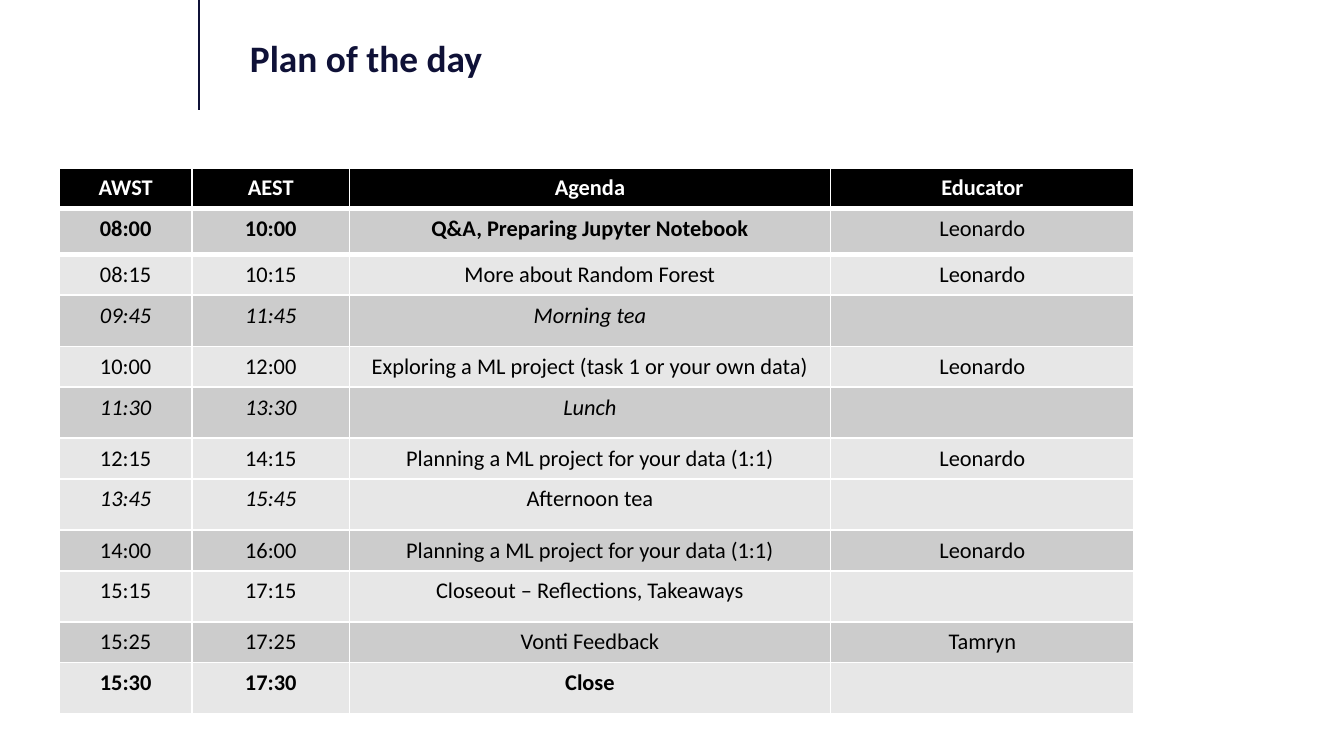
from pptx import Presentation
from pptx.dml.color import RGBColor
from pptx.enum.shapes import MSO_CONNECTOR
from pptx.enum.text import MSO_ANCHOR, PP_ALIGN
from pptx.oxml.ns import qn
from pptx.util import Inches, Pt
from lxml import etree

STRAIGHT = MSO_CONNECTOR.STRAIGHT
CENTER, LEFT = PP_ALIGN.CENTER, PP_ALIGN.LEFT
TOP = MSO_ANCHOR.TOP

FONT = "Calibri"
COLORS = {
    "navy": "0F1137",
    "header": "000000",
    "dark": "CCCCCC",
    "light": "E7E7E7",
    "white": "FFFFFF",
    "text": "000000",
}

TITLE = "Plan of the day"
HEADER = ("AWST", "AEST", "Agenda", "Educator")
AGENDA = [
    ("08:00", "10:00", "Q&A, Preparing Jupyter Notebook", "Leonardo", "dark"),
    ("08:15", "10:15", "More about Random Forest", "Leonardo", "light"),
    ("09:45", "11:45", "Morning tea", "", "dark"),
    ("10:00", "12:00", "Exploring a ML project (task 1 or your own data)", "Leonardo", "light"),
    ("11:30", "13:30", "Lunch", "", "dark"),
    ("12:15", "14:15", "Planning a ML project for your data (1:1)", "Leonardo", "light"),
    ("13:45", "15:45", "Afternoon tea", "", "light"),
    ("14:00", "16:00", "Planning a ML project for your data (1:1)", "Leonardo", "dark"),
    ("15:15", "17:15", "Closeout – Reflections, Takeaways", "", "light"),
    ("15:25", "17:25", "Vonti Feedback", "Tamryn", "dark"),
    ("15:30", "17:30", "Close", "", "light"),
]
BOLD_TIMES = {"08:00", "15:30"}
BREAKS = {"Morning tea", "Lunch"}
ITALIC_TIMES = {"09:45", "11:30", "13:45"}

COLUMN_WIDTHS = (0.99, 1.17, 3.58, 2.26)
ROW_HEIGHT, FIRST_HEIGHT, OPEN_HEIGHT = 0.3, 0.34, 0.38


def rgb(name):
    return RGBColor.from_string(COLORS[name])


def style(p, size, color, align, bold=False, italic=False):
    p.alignment = align
    p.font.name = FONT
    p.font.size = Pt(size)
    p.font.color.rgb = rgb(color)
    p.font.bold = bold
    p.font.italic = italic


def fill_cell(cell, text, fill, color, bold, italic=False):
    cell.fill.solid()
    cell.fill.fore_color.rgb = rgb(fill)
    cell.text = text
    style(cell.text_frame.paragraphs[0], 12, color, CENTER, bold, italic)


def add_border(cell, side, width):
    line = etree.Element(qn(f"a:{side}"), w=str(Pt(width)))
    solid = etree.SubElement(line, qn("a:solidFill"))
    etree.SubElement(solid, qn("a:srgbClr"), val=COLORS["white"])
    cell._tc.get_or_add_tcPr().insert(0, line)


def row_height(i, educator):
    if i == 0:
        return FIRST_HEIGHT
    return ROW_HEIGHT if educator else OPEN_HEIGHT


prs = Presentation()
prs.slide_width = Inches(10)
prs.slide_height = prs.slide_width * 9 // 16
s = prs.slides.add_slide(prs.slide_layouts[5])

rule = s.shapes.add_connector(STRAIGHT, Inches(1.48), 0, Inches(1.48), Inches(0.82))
rule.line.color.rgb = rgb("navy")
rule.line.width = Pt(1.25)
etree.SubElement(rule._element.spPr, qn("a:effectLst"))

title = s.shapes.title
title.left, title.top = Inches(1.76), Inches(0.21)
title.width, title.height = Inches(7.6), Inches(0.49)
title.text_frame.text = TITLE
title.text_frame.vertical_anchor = TOP
p = title.text_frame.paragraphs[0]
p.space_before = Pt(4)
style(p, 20, "navy", LEFT, bold=True)

heights = [ROW_HEIGHT] + [row_height(i, row[3]) for i, row in enumerate(AGENDA)]
table = s.shapes.add_table(
    len(heights), len(HEADER), Inches(0.44), Inches(1.25),
    Inches(sum(COLUMN_WIDTHS)), Inches(sum(heights)),
).table
for column, width in zip(table.columns, COLUMN_WIDTHS):
    column.width = Inches(width)
for row, height in zip(table.rows, heights):
    row.height = Inches(height)

for c, text in enumerate(HEADER):
    fill_cell(table.cell(0, c), text, "header", "white", True)
    add_border(table.cell(0, c), "lnB", 3)
for r, (*texts, shade) in enumerate(AGENDA, 1):
    for c, text in enumerate(texts):
        bold = texts[0] in BOLD_TIMES and c < 3
        italic = text in BREAKS or (texts[0] in ITALIC_TIMES and c < 2)
        fill_cell(table.cell(r, c), text, shade, "text", bold, italic)
for c in range(len(HEADER)):
    add_border(table.cell(1, c), "lnT", 3)

prs.save("out.pptx")
